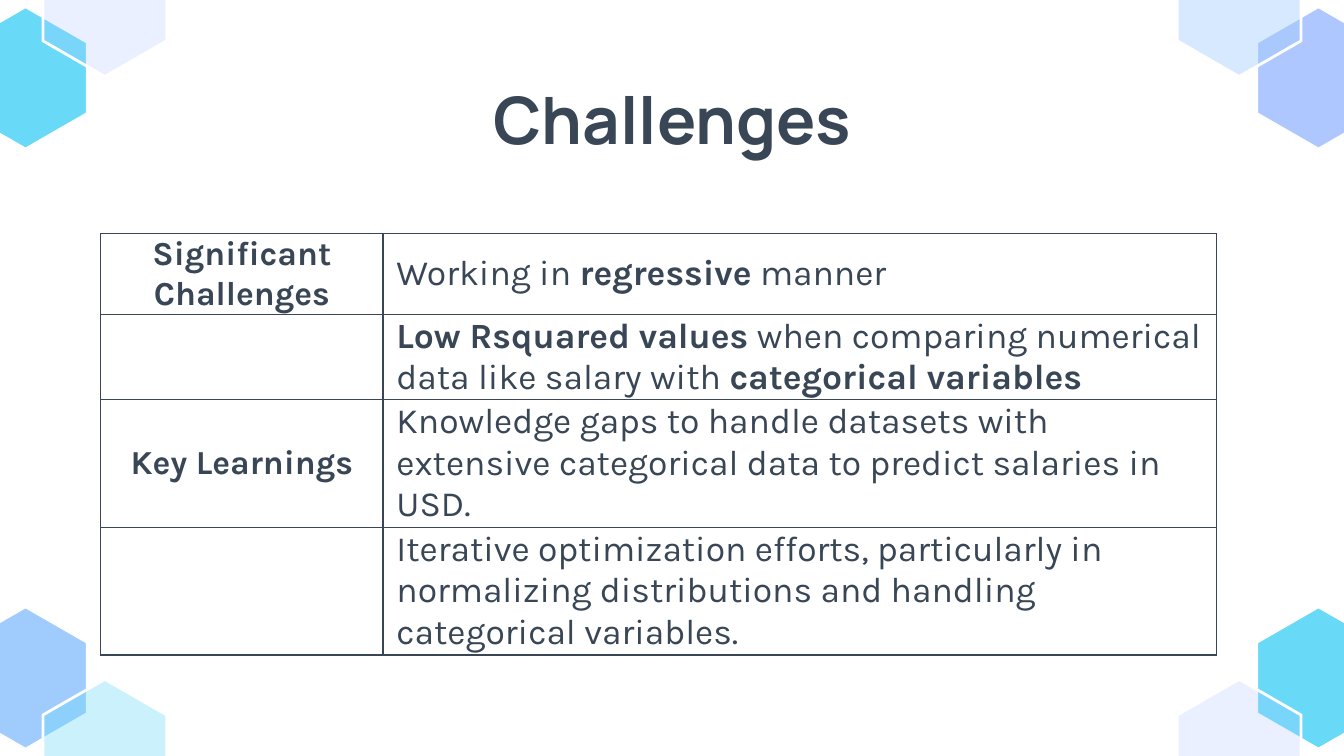
"""Build the Challenges slide: hexagon corners, a title and a two-column table."""
from dataclasses import dataclass

from lxml.etree import SubElement
from pptx import Presentation
from pptx.dml.color import RGBColor
from pptx.enum.text import MSO_ANCHOR, PP_ALIGN
from pptx.oxml import parse_xml
from pptx.oxml.ns import nsdecls, qn
from pptx.util import Inches, Pt


@dataclass(frozen=True)
class Theme:
    ink: str = "384655"
    white: str = "FFFFFF"
    cyan: str = "68DAF8"
    sky: str = "9FCBFD"
    lilac: str = "AFC7FF"
    heading_font: str = "Manrope"
    body_font: str = "Karla"
    title_size: int = 35
    label_size: int = 18
    body_size: int = 19
    outline: float = 1.5
    border: float = 0.75


def style_font(font, name, size, bold):
    font.name, font.size, font.bold = name, Pt(size), bold
    font.color.rgb = RGBColor.from_string(theme.ink)


def add_hexagon(center_x, center_y, color, opacity):
    corners = [
        (center_x + across * hexagon_width / 2, center_y + down * hexagon_height / 4)
        for across, down in [(0, -2), (-1, -1), (-1, 1), (0, 2), (1, 1), (1, -1)]
    ]
    builder = page.shapes.build_freeform(*map(int, corners[0]))
    builder.add_line_segments([tuple(map(int, corner)) for corner in corners[1:]], close=True)
    hexagon = builder.convert_to_shape()
    hexagon.shadow.inherit = False
    hexagon.fill.solid()
    hexagon.fill.fore_color.rgb = RGBColor.from_string(color)
    hexagon.line.color.rgb = RGBColor.from_string(theme.white)
    hexagon.line.width = Pt(theme.outline)
    if opacity < 100:
        tint = hexagon._element.spPr.find(qn("a:solidFill"))[0]
        SubElement(tint, qn("a:alpha"), val=str(opacity * 1000))


theme = Theme()
deck = Presentation()
deck.slide_width, deck.slide_height = Inches(10), Inches(10) * 9 // 16
width, height = deck.slide_width, deck.slide_height
page = deck.slides.add_slide(deck.slide_layouts[6])
page.background.fill.solid()
page.background.fill.fore_color.rgb = RGBColor.from_string(theme.white)

hexagon_width, hexagon_height = Inches(0.92), Inches(1.06)
outer_x, outer_y = Inches(0.19), Inches(0.58)
inner_x, inner_y = Inches(0.78), Inches(0.04)
corner_colors = [
    (False, True, theme.sky, theme.cyan, 34),
    (True, True, theme.cyan, theme.lilac, 25),
    (False, False, theme.cyan, theme.lilac, 25),
    (True, False, theme.lilac, theme.sky, 41),
]
for right, bottom, outer_color, inner_color, opacity in corner_colors:
    for x, y, color, alpha in [
        (outer_x, outer_y, outer_color, 100),
        (inner_x, inner_y, inner_color, opacity),
    ]:
        add_hexagon(width - x if right else x, height - y if bottom else y, color, alpha)

title = page.shapes.add_textbox(Inches(0.79), Inches(0.49), Inches(8.43), Inches(0.63))
frame = title.text_frame
frame.word_wrap = True
frame.vertical_anchor = MSO_ANCHOR.TOP
frame.margin_left = frame.margin_right = frame.margin_top = frame.margin_bottom = Inches(0.1)
para = frame.paragraphs[0]
para.text = "Challenges"
para.alignment = PP_ALIGN.CENTER
style_font(para.font, theme.heading_font, theme.title_size, True)

rows = [
    ("Significant Challenges",
     [("Working in ", False), ("regressive", True), (" manner", False)]),
    ("",
     [("Low Rsquared values", True),
      (" when comparing numerical data like salary with ", False),
      ("categorical variables", True)]),
    ("Key Learnings",
     [("Knowledge gaps to handle datasets with extensive categorical data "
       "to predict salaries in USD.", False)]),
    ("",
     [("Iterative optimization efforts, particularly in normalizing distributions "
       "and handling categorical variables.", False)]),
]
column_widths = [2.1, 6.2]
row_height = Inches(0.42)
table = page.shapes.add_table(
    len(rows), len(column_widths), Inches(0.75), Inches(1.74),
    Inches(sum(column_widths)), row_height * len(rows),
).table
table.first_row = table.horz_banding = False
for column, column_width in zip(table.columns, column_widths):
    column.width = Inches(column_width)

for row, (label, spans) in zip(table.rows, rows):
    row.height = row_height
    contents = [
        ([(label, True)] if label else [], theme.label_size, PP_ALIGN.CENTER, 0),
        (spans, theme.body_size, PP_ALIGN.LEFT, 16),
    ]
    for cell, (pieces, size, alignment, space_after) in zip(row.cells, contents):
        cell.vertical_anchor = MSO_ANCHOR.MIDDLE
        cell.margin_left = cell.margin_right = Inches(0.1)
        cell.margin_top = cell.margin_bottom = 0
        para = cell.text_frame.paragraphs[0]
        para.alignment = alignment
        para.space_after = Pt(space_after)
        for text, bold in pieces:
            span = para.add_run()
            span.text = text
            style_font(span.font, theme.body_font, size, bold)
        cell.fill.background()
        properties = cell._tc.get_or_add_tcPr()
        for index, side in enumerate("LRTB"):
            properties.insert(index, parse_xml(
                f'<a:ln{side} {nsdecls("a")} w="{Pt(theme.border)}"><a:solidFill>'
                f'<a:srgbClr val="{theme.ink}"/></a:solidFill></a:ln{side}>'
            ))

deck.save("out.pptx")
